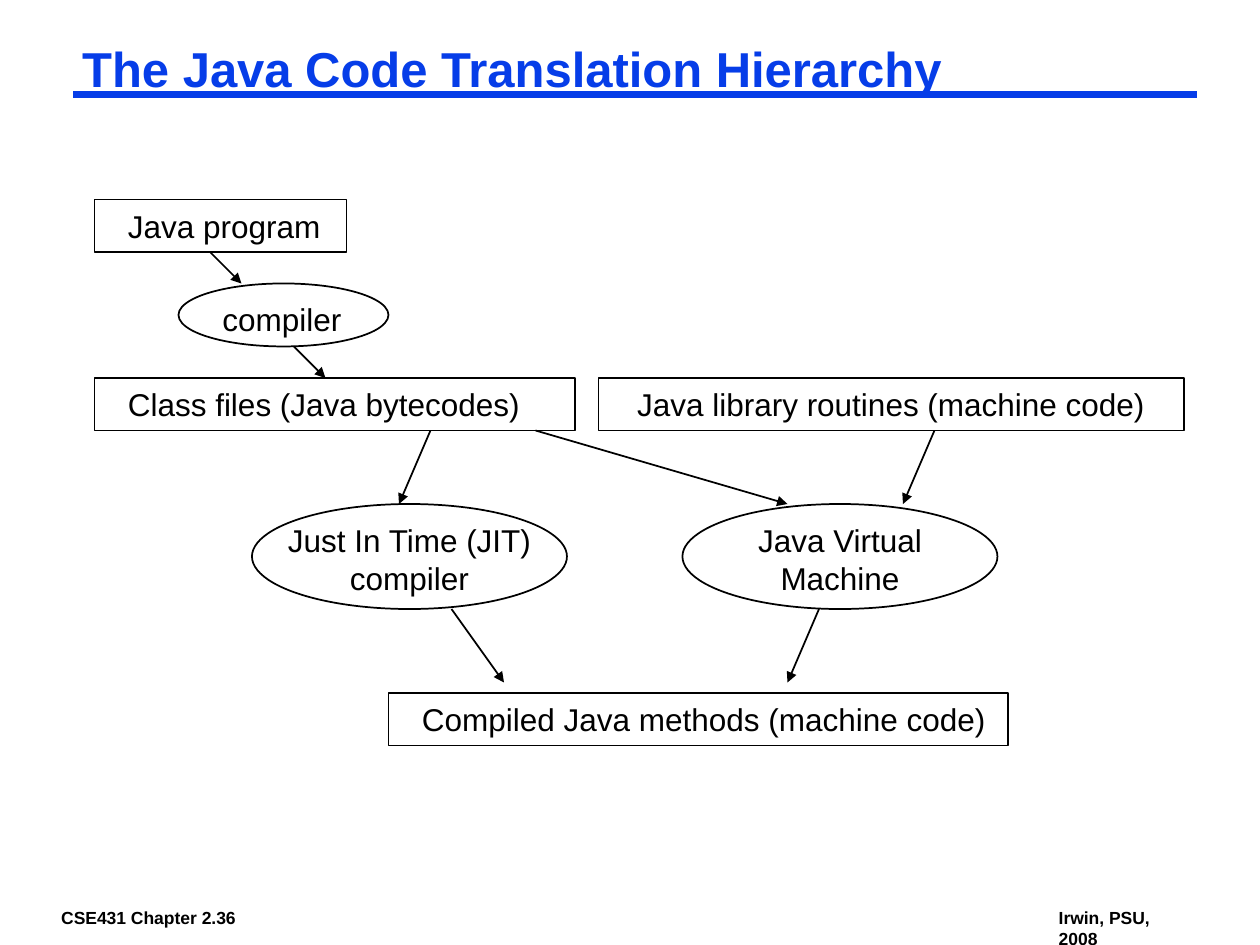
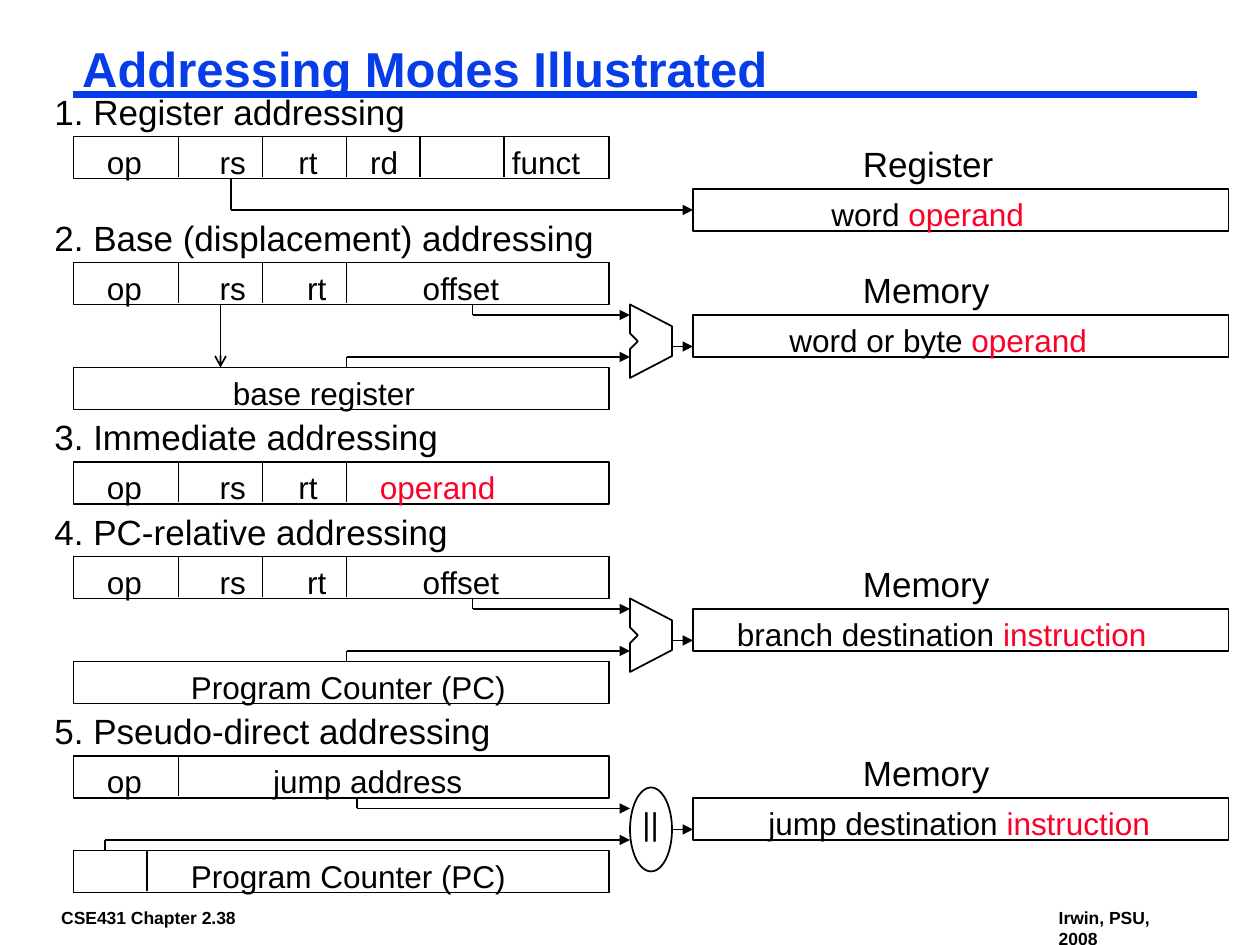
from lxml import etree
from pptx import Presentation
from pptx.dml.color import RGBColor
from pptx.enum.shapes import MSO_CONNECTOR, MSO_SHAPE
from pptx.enum.text import MSO_ANCHOR, PP_ALIGN
from pptx.oxml.ns import qn
from pptx.util import Pt

RECT, OVAL = MSO_SHAPE.RECTANGLE, MSO_SHAPE.OVAL
STRAIGHT = MSO_CONNECTOR.STRAIGHT
TOP = MSO_ANCHOR.TOP
LEFT, CENTER = PP_ALIGN.LEFT, PP_ALIGN.CENTER

FONT = "Arial"
COLORS = {"title": "063DE8", "ink": "000000", "accent": "FC0128"}

# Addressing mode grid
BAR_X, BAR_W, BAR_H = 42, 306, 24
UNIT_X, UNIT_W = 360, 24
TARGET_X = 396


def rgb(name):
    return RGBColor.from_string(COLORS[name])


def style_run(r, size, color="ink", bold=False):
    r.font.name = FONT
    r.font.size = Pt(size)
    r.font.bold = bold
    r.font.color.rgb = rgb(color)


def set_insets(tf, x, y):
    tf.margin_left = tf.margin_right = Pt(x)
    tf.margin_top = tf.margin_bottom = Pt(y)


def label(s, x, y, w, text, accent="", size=18, h=29, align=LEFT, bold=False, tabs=()):
    """Text box; accent is a red ending, tabs are stops from the text edge."""
    tf = s.shapes.add_textbox(Pt(x), Pt(y), Pt(w), Pt(h)).text_frame
    tf.word_wrap = True
    p = tf.paragraphs[0]
    p.alignment = align
    for part, color in ((text, "ink"), (accent, "accent")):
        if part:
            r = p.add_run()
            r.text = part
            style_run(r, size, color, bold)
    if tabs:
        tab_list = etree.SubElement(p._p.get_or_add_pPr(), qn("a:tabLst"))
        for stop in tabs:
            etree.SubElement(tab_list, qn("a:tab"), pos=str(Pt(stop)), algn="l")
    return tf


def outline(shape):
    shape.shadow.inherit = False
    shape.fill.background()
    shape.line.color.rgb = rgb("ink")
    shape.line.width = Pt(1)


def box(s, kind, x, y, w, h):
    outline(s.shapes.add_shape(kind, Pt(x), Pt(y), Pt(w), Pt(h)))


def line(s, x1, y1, x2, y2, head=None, color="ink", width=1):
    c = s.shapes.add_connector(STRAIGHT, Pt(x1), Pt(y1), Pt(x2), Pt(y2))
    c.line.color.rgb = rgb(color)
    c.line.width = Pt(width)
    if head:
        etree.SubElement(c.line._get_or_add_ln(), qn("a:tailEnd"), type=head)
    etree.SubElement(c._element.spPr, qn("a:effectLst"))


def arrow(s, x1, y1, x2, y2):
    line(s, x1, y1, x2, y2, "triangle")


def elbow(s, x1, y1, x2, y2):
    """Vertical line, then a horizontal arrow."""
    line(s, x1, y1, x1, y2)
    arrow(s, x1, y2, x2, y2)


def base_slide(prs, title, number):
    s = prs.slides.add_slide(prs.slide_layouts[5])
    # Footer and title rule
    for x, w, h, text in ((30, 115, 16, f"CSE431 Chapter 2.{number}"),
                          (600, 86, 28, "Irwin, PSU, 2008")):
        set_insets(label(s, x, 516, w, text, size=10, h=h, bold=True), 5, 2.5)
    line(s, 42, 54, 684, 54, color="title", width=4.5)
    # Title
    sp = s.shapes.title
    sp.left, sp.top, sp.width, sp.height = Pt(42), Pt(24), Pt(642), Pt(33)
    tf = sp.text_frame
    tf.text = title
    tf.vertical_anchor = TOP
    set_insets(tf, 5, 2.5)
    p = tf.paragraphs[0]
    p.alignment = LEFT
    p.line_spacing = 0.87
    style_run(p.runs[0], 28, "title", True)
    return s


def hierarchy_slide(prs):
    s = base_slide(prs, "The Java Code Translation Hierarchy", 36)
    # Program forms: x, y, width, text offset, text
    for x, y, w, dx, text in (
            (54, 114, 144, 12, "Java program"),
            (54, 216, 274.5, 12, "Class files (Java bytecodes)"),
            (342, 216, 334.5, 15, "Java library routines (machine code)"),
            (222, 396, 354, 12, "Compiled Java methods (machine code)")):
        box(s, RECT, x, y, w, 30)
        label(s, x + dx, y + 0.5, w, text)
    # Translators
    box(s, OVAL, 102, 162, 120, 36)
    label(s, 120, 168, 84, "compiler")
    for x, text in ((144, "Just In Time (JIT) compiler"), (390, "Java Virtual Machine")):
        box(s, OVAL, x, 288, 180, 60)
        label(s, x + 12, 294, 156, text, h=51, align=CENTER)
    # Flow
    for ends in ((120, 144, 138, 162), (168, 198, 186, 216),
                 (246, 246, 228, 288), (306, 246, 450, 288), (534, 246, 516, 288),
                 (258, 348, 288, 390), (468, 348, 450, 390)):
        arrow(s, *ends)


def instruction(s, y, heading, fields, accent, tabs, dividers):
    """Heading over an instruction word that is split into fields."""
    label(s, 24, y - 30, 354, heading, size=20, h=31)
    box(s, RECT, BAR_X, y, BAR_W, BAR_H)
    for x in dividers:
        line(s, x, y, x, y + 23)
    label(s, 54, y, 294, "\t".join(fields), accent, tabs=tabs)


def register(s, y, x, text):
    box(s, RECT, BAR_X, y, BAR_W, BAR_H)
    label(s, x, y, 200, text)


def target(s, y, name, x, text, accent):
    """Register or memory word that is addressed."""
    label(s, 486, y - 30, 114, name, size=20, h=31)
    box(s, RECT, TARGET_X, y, BAR_W, BAR_H)
    label(s, x, y, 260, text, accent)


def adder(s, y):
    right = UNIT_X + UNIT_W
    points = [(UNIT_X, 0), (right, 12.5), (right, 29.5), (UNIT_X, 42),
              (UNIT_X, 25.5), (UNIT_X + 4.5, 21), (UNIT_X, 16.5)]
    points = [(Pt(x), Pt(y + dy)) for x, dy in points]
    fb = s.shapes.build_freeform(*points[0])
    fb.add_line_segments(points[1:], close=True)
    outline(fb.convert_to_shape())


def combine(s, y, second_y, field_x, register_x):
    """Route a field and a register into the unit, and its result out."""
    field_y = y + BAR_H
    elbow(s, field_x, field_y, UNIT_X, field_y + 6)
    elbow(s, register_x, second_y, UNIT_X, second_y - 6)
    out_y = second_y - 12
    arrow(s, UNIT_X + UNIT_W, out_y, TARGET_X, out_y)


def addressing_slide(prs):
    s = base_slide(prs, "Addressing Modes Illustrated", 38)
    splits = (102, 150, 198)
    # Instruction formats
    offset_fields = (("op", "rs", "rt", "offset"), "", (64.5, 114.5, 180.5), splits)
    for y, heading, *layout in (
            (78, "1. Register addressing", ("op", "rs", "rt", "rd", "funct"), "",
             (64.5, 109.5, 150.5, 231.5), splits + (240, 288)),
            (150, "2. Base (displacement) addressing", *offset_fields),
            (264, "3. Immediate addressing", ("op", "rs", "rt", ""), "operand",
             (64.5, 109.5, 156), splits),
            (318, "4. PC-relative addressing", *offset_fields),
            (432, "5. Pseudo-direct addressing", ("op", "jump address"), "",
             (95,), splits[:1])):
        instruction(s, y, heading, *layout)
    # Registers
    for y, x, text in ((210, 126, "base register"),
                       (378, 102, "Program Counter (PC)"),
                       (486, 102, "Program Counter (PC)")):
        register(s, y, x, text)
    line(s, 84, 486, 84, 509)
    # Addressed words
    for y, name, x, text, accent in (
            (108, "Register", 468, "word ", "operand"),
            (180, "Memory", 444, "word or byte ", "operand"),
            (348, "Memory", 414, "branch destination ", "instruction"),
            (456, "Memory", 432, "jump destination ", "instruction")):
        target(s, y, name, x, text, accent)
    # Routing
    elbow(s, 132, 102, TARGET_X, 120)
    line(s, 126, 174, 126, 210, "arrow")
    for y in (150, 318):
        adder(s, y + BAR_H)
        combine(s, y, y + 60, 270, 198)
    box(s, OVAL, UNIT_X, 450, UNIT_W, 48)
    label(s, UNIT_X, 456, UNIT_W, "||")
    combine(s, 432, 486, 204, 60)


def main():
    prs = Presentation()
    prs.slide_width, prs.slide_height = Pt(720), Pt(540)
    hierarchy_slide(prs)
    addressing_slide(prs)
    prs.save("out.pptx")


main()
